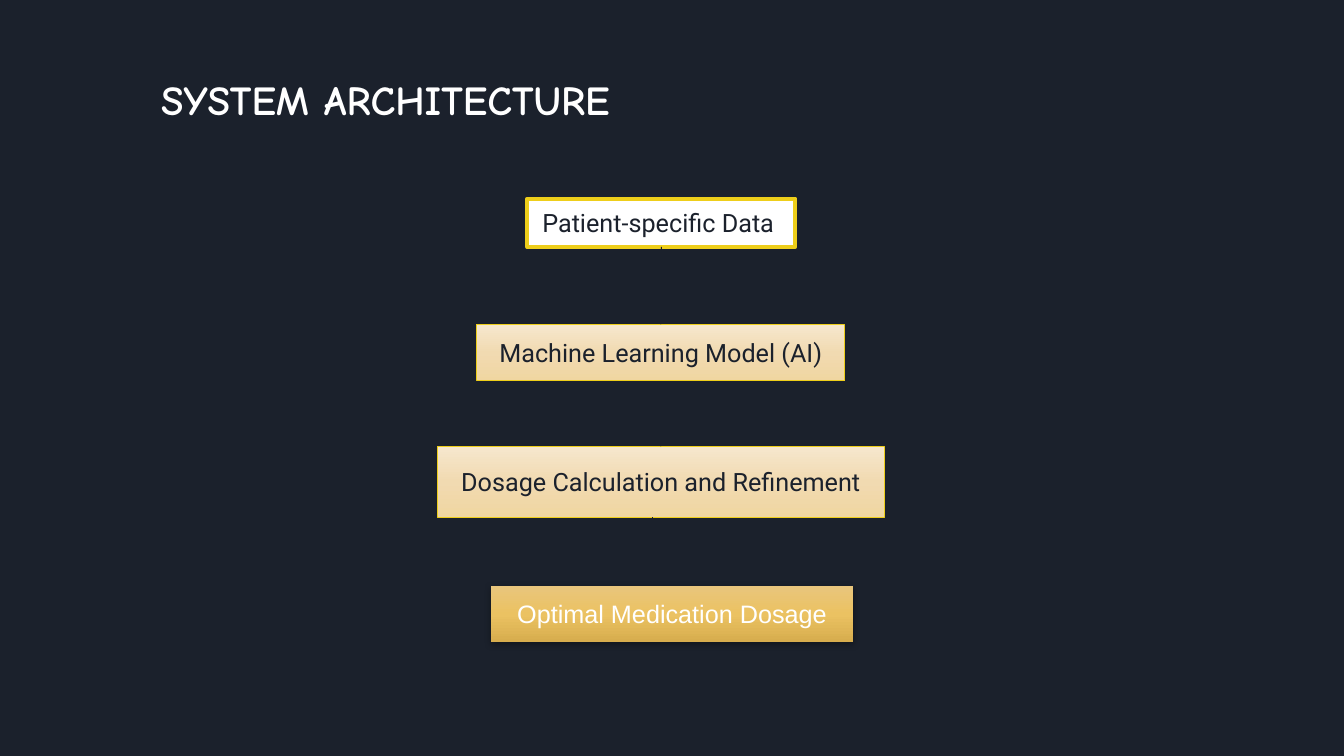
from copy import deepcopy

from pptx import Presentation
from pptx.dml.color import RGBColor
from pptx.enum.shapes import MSO_CONNECTOR, MSO_SHAPE
from pptx.enum.text import MSO_ANCHOR, PP_ALIGN
from pptx.oxml.ns import qn
from pptx.oxml.xmlchemy import OxmlElement
from pptx.util import Inches, Pt

RECTANGLE = MSO_SHAPE.RECTANGLE
STRAIGHT = MSO_CONNECTOR.STRAIGHT
MIDDLE = MSO_ANCHOR.MIDDLE
CENTER = PP_ALIGN.CENTER
TOP, BOTTOM = 0, 2

NAVY = RGBColor(0x1B, 0x21, 0x2C)
WHITE = RGBColor(0xFF, 0xFF, 0xFF)
YELLOW = RGBColor(0xEE, 0xCE, 0x1A)
CREAM = (RGBColor(0xF6, 0xE7, 0xCD), RGBColor(0xF1, 0xDA, 0xB1), RGBColor(0xF0, 0xD6, 0xA1))
GOLD = (RGBColor(0xE9, 0xC6, 0x7D), RGBColor(0xEB, 0xC2, 0x62), RGBColor(0xD7, 0xAD, 0x4E))


def style_run(p, font, size, color, bold=False):
    r = p.runs[0]
    r.font.name = font
    r.font.size = Pt(size)
    r.font.color.rgb = color
    r.font.bold = bold


def add_title(slide, text):
    box = slide.shapes.add_textbox(Inches(1.5), Inches(0.75), Inches(10.5), Inches(0.8))
    tf = box.text_frame
    tf.word_wrap = True
    p = tf.paragraphs[0]
    p.text = text
    p.line_spacing = 0.89
    style_run(p, "Comic Neue", 29.4, WHITE, bold=True)


def fill_gradient(sp, colors):
    sp.fill.gradient()
    sp.fill.gradient_angle = 270
    stop_list = sp._element.spPr.find(qn("a:gradFill")).find(qn("a:gsLst"))
    stop_list.insert(1, deepcopy(stop_list[0]))
    for i, (stop, color) in enumerate(zip(sp.fill.gradient_stops, colors)):
        stop.position = i / 2
        stop.color.rgb = color


def add_stage(slide, text, left, top, width, height, fill, line_width=0.75,
              font="Roboto", color=NAVY):
    sp = slide.shapes.add_shape(RECTANGLE, Inches(left), Inches(top), Inches(width), Inches(height))
    sp.shadow.inherit = False
    if isinstance(fill, RGBColor):
        sp.fill.solid()
        sp.fill.fore_color.rgb = fill
    else:
        fill_gradient(sp, fill)
    if line_width:
        sp.line.color.rgb = YELLOW
        sp.line.width = Pt(line_width)
    else:
        sp.line.fill.background()
    tf = sp.text_frame
    tf.word_wrap = True
    tf.vertical_anchor = MIDDLE
    p = tf.paragraphs[0]
    p.text = text
    p.alignment = CENTER
    style_run(p, font, 18, color)
    return sp


def add_shadow(sp):
    shadow = OxmlElement("a:outerShdw")
    for name, value in (("blurRad", Pt(4.5)), ("dist", Pt(1.5)), ("dir", 5400000),
                        ("rotWithShape", 0)):
        shadow.set(name, str(int(value)))
    color = OxmlElement("a:srgbClr")
    color.set("val", "000000")
    alpha = OxmlElement("a:alpha")
    alpha.set("val", "35000")
    color.append(alpha)
    shadow.append(color)
    sp._element.spPr.find(qn("a:effectLst")).append(shadow)


def add_arrow(slide, x, top, bottom):
    arrow = slide.shapes.add_connector(STRAIGHT, Inches(x), Inches(top), Inches(x), Inches(bottom))
    arrow.line.color.rgb = NAVY
    arrow.line.width = Pt(0.75)
    tail = OxmlElement("a:tailEnd")
    tail.set("type", "triangle")
    arrow.line._get_or_add_ln().append(tail)
    arrow._element.spPr.append(OxmlElement("a:effectLst"))
    return arrow


def main():
    prs = Presentation()
    prs.slide_width, prs.slide_height = Inches(13.33), Inches(7.5)
    slide = prs.slides.add_slide(prs.slide_layouts[6])
    slide.background.fill.solid()
    slide.background.fill.fore_color.rgb = NAVY

    add_title(slide, "SYSTEM ARCHITECTURE")
    data = add_stage(slide, "Patient-specific Data ", 5.23, 1.97, 2.66, 0.48, WHITE, 2.75)
    model = add_stage(slide, "Machine Learning Model (AI)", 4.73, 3.22, 3.65, 0.56, CREAM)
    dosage = add_stage(slide, "Dosage Calculation and Refinement", 4.34, 4.43, 4.43, 0.7, CREAM)
    result = add_stage(slide, "Optimal Medication Dosage", 4.87, 5.81, 3.59, 0.56, GOLD,
                       line_width=0, font="Arial", color=WHITE)
    add_shadow(result)

    for upper, lower, top, bottom in ((data, model, 2.45, 3.22), (model, dosage, 3.78, 4.43)):
        arrow = add_arrow(slide, 6.56, top, bottom)
        arrow.begin_connect(upper, BOTTOM)
        arrow.end_connect(lower, TOP)
    add_arrow(slide, 6.47, 5.13, 5.79)

    prs.save("out.pptx")


if __name__ == "__main__":
    main()
